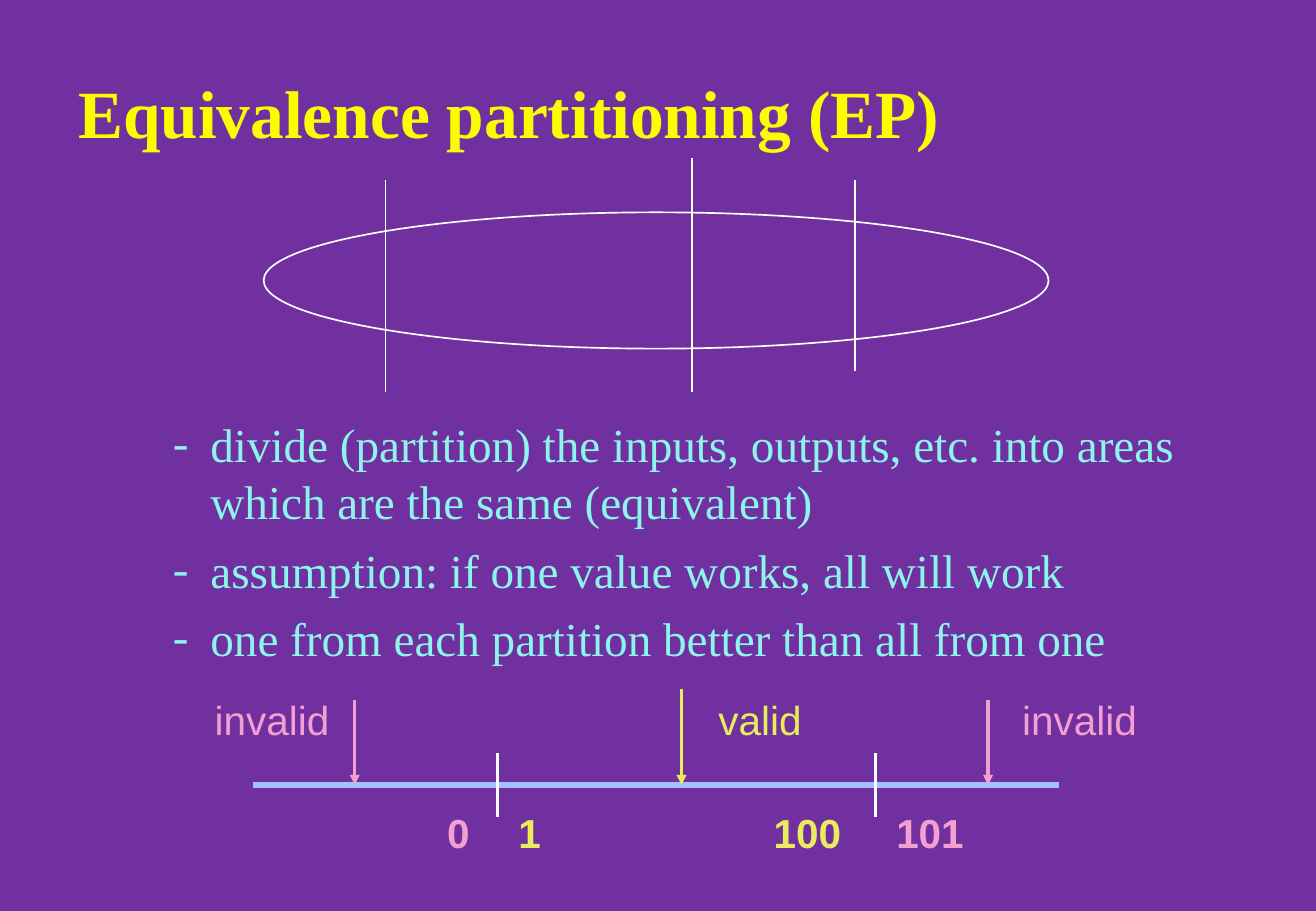
from dataclasses import dataclass

from lxml.etree import SubElement
from pptx import Presentation
from pptx.dml.color import RGBColor
from pptx.enum.shapes import MSO_CONNECTOR, MSO_SHAPE
from pptx.enum.text import MSO_ANCHOR, MSO_AUTO_SIZE, PP_ALIGN
from pptx.oxml.ns import qn
from pptx.util import Pt

COLORS = {
    "background": "7030A0",
    "title": "FAFD00",
    "body": "8CF4EA",
    "outline": "FFFFFF",
    "axis": "A2C1FE",
    "valid": "EAEC5E",
    "invalid": "F39FD1",
}
SERIF, SANS = "Times New Roman", "Arial"
AXIS_Y = 465.3


@dataclass
class Line:
    x1: float
    y1: float
    x2: float
    y2: float
    color: str
    width: float
    arrow: bool = False


@dataclass
class Label:
    text: str
    left: float
    top: float
    width: float
    height: float
    color: str
    pad_x: float
    pad_y: float
    bold: bool = False
    spacing: float = 1.0


def rgb(name: str) -> RGBColor:
    return RGBColor.from_string(COLORS[name])


def add_run(p, text: str, font: str, size: float, color: str, bold: bool = False) -> None:
    r = p.add_run()
    r.text = text
    r.font.name = font
    r.font.size = Pt(size)
    r.font.bold = bold
    r.font.color.rgb = rgb(color)


def set_margins(tf, x: float, y: float) -> None:
    tf.margin_left = tf.margin_right = Pt(x)
    tf.margin_top = tf.margin_bottom = Pt(y)


def add_line(s, line: Line) -> None:
    cx = s.shapes.add_connector(MSO_CONNECTOR.STRAIGHT, Pt(line.x1), Pt(line.y1),
                                Pt(line.x2), Pt(line.y2))
    cx.line.color.rgb = rgb(line.color)
    cx.line.width = Pt(line.width)
    if line.arrow:
        SubElement(cx.line._get_or_add_ln(), qn("a:tailEnd"), type="triangle")
    SubElement(cx._element.spPr, qn("a:effectLst"))


def add_label(s, label: Label) -> None:
    sp = s.shapes.add_textbox(Pt(label.left), Pt(label.top), Pt(label.width), Pt(label.height))
    tf = sp.text_frame
    tf.word_wrap = False
    tf.auto_size = MSO_AUTO_SIZE.SHAPE_TO_FIT_TEXT
    set_margins(tf, label.pad_x, label.pad_y)
    p = tf.paragraphs[0]
    p.line_spacing = label.spacing
    add_run(p, label.text, SANS, 24, label.color, label.bold)


def add_dash(p) -> None:
    pPr = p._p.get_or_add_pPr()
    pPr.set("marL", str(Pt(59)))
    pPr.set("indent", str(Pt(-22.3)))
    SubElement(SubElement(pPr, qn("a:buClr")), qn("a:srgbClr"), val=COLORS["body"])
    SubElement(pPr, qn("a:buFont"), typeface=SERIF)
    SubElement(pPr, qn("a:buChar"), char="-")


def add_title(s, text: str) -> None:
    sp = s.shapes.title
    sp.left, sp.top, sp.width, sp.height = Pt(39.2), Pt(42), Pt(663), Pt(48)
    tf = sp.text_frame
    tf.word_wrap = True
    tf.auto_size = MSO_AUTO_SIZE.NONE
    tf.vertical_anchor = MSO_ANCHOR.MIDDLE
    set_margins(tf, 7.2, 3.6)
    p = tf.paragraphs[0]
    p.alignment = PP_ALIGN.LEFT
    add_run(p, text, SERIF, 40, "title", True)


def add_points(s, points: list[str]) -> None:
    sp = s.shapes.add_textbox(Pt(58.7), Pt(242.8), Pt(663), Pt(183.6))
    tf = sp.text_frame
    tf.word_wrap = True
    set_margins(tf, 7.2, 3.6)
    for i, text in enumerate(points):
        p = tf.paragraphs[0] if i == 0 else tf.add_paragraph()
        p.space_before = Pt(7)
        add_dash(p)
        add_run(p, text, SERIF, 28, "body")


def main() -> None:
    prs = Presentation()
    prs.slide_width, prs.slide_height = Pt(780.48), Pt(540)
    s = prs.slides.add_slide(prs.slide_layouts[5])
    s.background.fill.solid()
    s.background.fill.fore_color.rgb = rgb("background")

    add_title(s, "Equivalence partitioning (EP)")

    # Input domain cut into partitions
    domain = s.shapes.add_shape(MSO_SHAPE.OVAL, Pt(156.4), Pt(125.9), Pt(465.5), Pt(80.8))
    domain.shadow.inherit = False
    domain.fill.background()
    domain.line.color.rgb = rgb("outline")
    domain.line.width = Pt(1)
    for x, top, bottom in [(410.3, 93.9, 232.5), (507.1, 106.6, 219.8), (228.6, 106.6, 232.5)]:
        add_line(s, Line(x, top, x, bottom, "outline", 1))

    add_points(s, [
        "divide (partition) the inputs, outputs, etc. into areas which are the same (equivalent)",
        "assumption: if one value works, all will work",
        "one from each partition better than all from one",
    ])

    # Number line with its boundaries
    add_line(s, Line(150, AXIS_Y, 628.2, AXIS_Y, "axis", 4))
    for x in (295.2, 519.2):
        add_line(s, Line(x, AXIS_Y - 18.8, x, AXIS_Y + 18.8, "outline", 2))
    for text, left, width, color in [("1", 302.5, 23.4, "valid"), ("100", 453.9, 50.4, "valid"),
                                     ("101", 526.6, 50.4, "invalid"), ("0", 260.2, 23.4, "invalid")]:
        add_label(s, Label(text, left, 479.9, width, 30.2, color, 5, 2.2, True, 0.9))

    # Sample values, one per partition
    for x, top, color in [(404.2, 408.6, "valid"), (210.4, 414.9, "invalid"),
                          (586, 414.9, "invalid")]:
        add_line(s, Line(x, top, x, AXIS_Y, color, 2, True))
    for text, left, width in [("valid", 419, 65), ("invalid", 599.2, 84), ("invalid", 120.2, 84)]:
        add_label(s, Label(text, left, 408.3, width, 36, text, 7.2, 3.6))

    prs.save("out.pptx")


if __name__ == "__main__":
    main()
